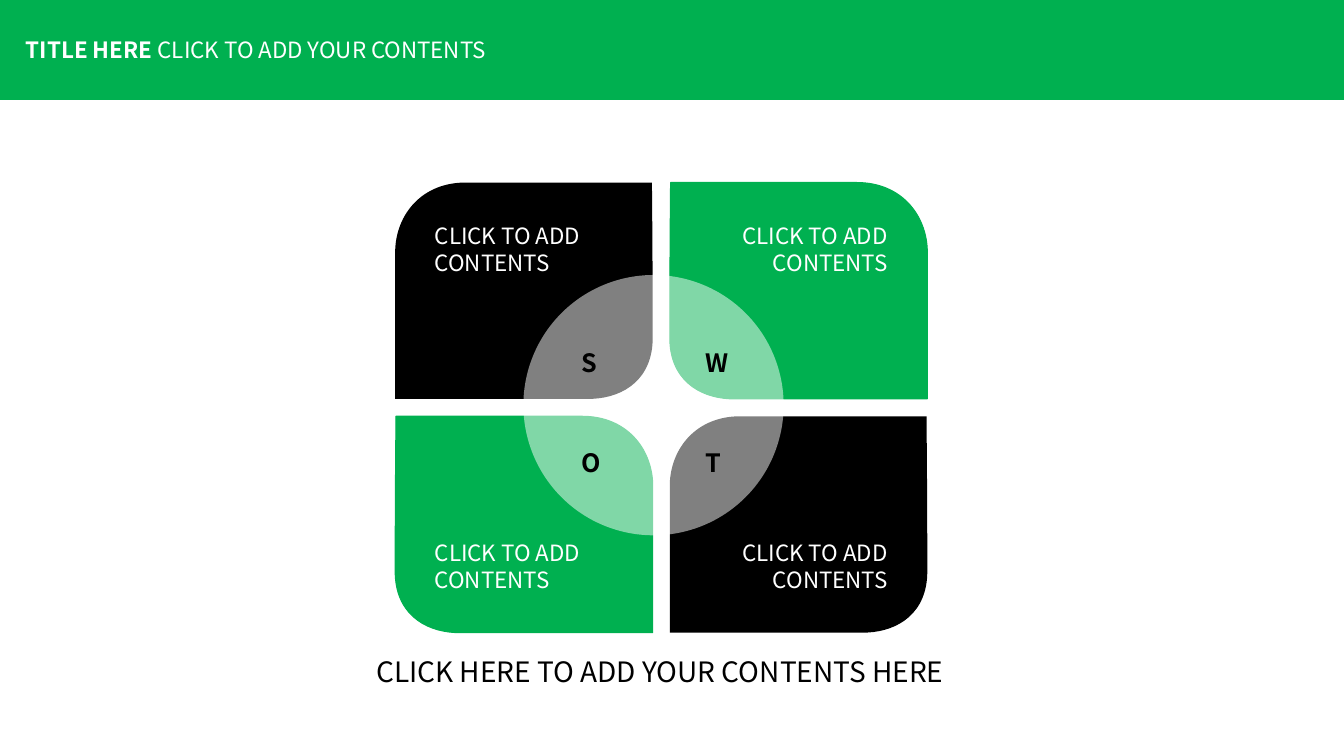
from dataclasses import dataclass
from typing import Any

from lxml import etree
from pptx import Presentation
from pptx.dml import color
from pptx.enum import shapes, text
from pptx.oxml import ns
from pptx.util import Cm, Pt

COLORS = {"green": "00B050", "black": "000000", "white": "FFFFFF"}
FONT = "Noto Sans CJK SC"
PETAL_WIDTH = 6.49
PETAL_START = (4.98, 5.45)
PETAL_CURVES = [
    [(2.49, 5.45), (0, 5.45), (0, 5.45)],
    [(0, 5.45), (0, 3.58), (0, 1.7)],
    [(0.03, 0.81), (0.66, 0), (1.78, 0)],
    [(4.14, 0), (6.47, 0), (6.47, 0)],
    [(6.47, 0), (6.49, 1.96), (6.49, 3.91)],
    [(6.49, 4.95), (5.77, 5.41), PETAL_START],
]


@dataclass
class Span:
    words: str
    size: int
    color: str
    bold: bool = False


@dataclass
class Quadrant:
    letter: str
    letter_width: float
    column: int
    row: int

    @property
    def mirrored(self) -> bool:
        return self.column != self.row


QUADRANTS = [
    Quadrant("S", 0.89, 0, 0),
    Quadrant("W", 1.19, 1, 0),
    Quadrant("O", 1.04, 0, 1),
    Quadrant("T", 0.91, 1, 1),
]


def rgb(name: str) -> color.RGBColor:
    return color.RGBColor.from_string(COLORS[name])


def apply(target: Any, values: dict[str, Any]) -> None:
    for name, value in values.items():
        setattr(target, name, value)


def write(shape: Any, lines: list[list[Span]], align: Any, frame: dict[str, Any]) -> None:
    apply(shape.text_frame, frame)
    for index, spans in enumerate(lines):
        para = shape.text_frame.paragraphs[0] if index == 0 else shape.text_frame.add_paragraph()
        para.alignment = align
        for span in spans:
            run = para.add_run()
            run.text = span.words
            apply(run.font, {"name": FONT, "size": Pt(span.size), "bold": span.bold})
            run.font.color.rgb = rgb(span.color)


def paint(shape: Any, fill: str, line_width: float = 0) -> None:
    shape.shadow.inherit = False
    shape.fill.solid()
    shape.fill.fore_color.rgb = rgb(fill)
    if line_width:
        shape.line.color.rgb = rgb(fill)
        shape.line.width = Pt(line_width)
    else:
        shape.line.fill.background()


def bend(shape: Any) -> None:
    segments = list(shape.element.iter(ns.qn("a:lnTo")))
    for first in range(0, len(segments), 3):
        curve = etree.Element(ns.qn("a:cubicBezTo"))
        segments[first].addprevious(curve)
        for segment in segments[first:first + 3]:
            curve.append(segment[0])
            segment.getparent().remove(segment)


def draw_petal(page: Any, quadrant: Quadrant) -> None:
    left = 9.96 + 6.92 * quadrant.column
    top = 4.6 + 5.89 * quadrant.row
    outline = [PETAL_START] + [point for curve in PETAL_CURVES for point in curve]
    points = [
        (Cm(left + (PETAL_WIDTH - x if quadrant.mirrored else x)), Cm(top + y))
        for x, y in outline
    ]
    builder = page.shapes.build_freeform(*points[0])
    builder.add_line_segments(points[1:])
    petal = builder.convert_to_shape()
    bend(petal)
    if quadrant.mirrored:
        paint(petal, "green", 0.75)
    else:
        paint(petal, "black")
    frame = {
        "word_wrap": True,
        "vertical_anchor": text.MSO_ANCHOR.BOTTOM if quadrant.row else text.MSO_ANCHOR.TOP,
        "margin_left": Cm(1 - quadrant.column),
        "margin_right": Cm(quadrant.column),
        "margin_top": Cm(1 - quadrant.row),
        "margin_bottom": Cm(quadrant.row),
    }
    lines = [[Span(words, 16, "white")] for words in ("CLICK TO ADD", "CONTENTS")]
    write(petal, lines, text.PP_ALIGN.RIGHT if quadrant.column else text.PP_ALIGN.LEFT, frame)


def draw_letter(page: Any, quadrant: Quadrant) -> None:
    box = page.shapes.add_textbox(
        Cm(14.4 + 3.13 * quadrant.column), Cm(8.63 + 2.52 * quadrant.row),
        Cm(quadrant.letter_width), Cm(1.02),
    )
    frame = {"word_wrap": False, "auto_size": text.MSO_AUTO_SIZE.SHAPE_TO_FIT_TEXT}
    write(box, [[Span(quadrant.letter, 18, "black", True)]], text.PP_ALIGN.LEFT, frame)


def draw_header(page: Any) -> None:
    banner = page.shapes.add_shape(shapes.MSO_SHAPE.RECTANGLE, 0, 0, Cm(33.9), Cm(2.5))
    paint(banner, "green", 1)
    title = page.shapes.title
    banner.element.addnext(title.element)
    apply(title, {"left": Cm(0.4), "top": Cm(0.79), "width": Cm(13.34), "height": Cm(0.94)})
    frame = {
        "word_wrap": True,
        "auto_size": text.MSO_AUTO_SIZE.SHAPE_TO_FIT_TEXT,
        "vertical_anchor": text.MSO_ANCHOR.TOP,
    }
    spans = [Span("TITLE HERE ", 16, "white", True), Span("CLICK TO ADD YOUR CONTENTS", 16, "white")]
    write(title, [spans], text.PP_ALIGN.LEFT, frame)


def draw_caption(page: Any) -> None:
    box = page.shapes.add_textbox(Cm(6.92), Cm(16.36), Cm(19.43), Cm(1.12))
    frame = {"word_wrap": True, "auto_size": text.MSO_AUTO_SIZE.SHAPE_TO_FIT_TEXT}
    caption = Span("CLICK HERE TO ADD YOUR CONTENTS HERE", 20, "black")
    write(box, [[caption]], text.PP_ALIGN.CENTER, frame)


def draw_hub(page: Any) -> None:
    hub = page.shapes.add_shape(shapes.MSO_SHAPE.OVAL, Cm(13.19), Cm(6.93), Cm(6.56), Cm(6.56))
    paint(hub, "white")
    tint = hub.element.spPr.find(ns.qn("a:solidFill"))[0]
    etree.SubElement(tint, ns.qn("a:alpha"), val="50000")


def main() -> None:
    deck = Presentation()
    apply(deck, {"slide_width": Cm(33.87), "slide_height": Cm(19.05)})
    page = deck.slides.add_slide(deck.slide_layouts[5])
    draw_header(page)
    for quadrant in QUADRANTS:
        draw_petal(page, quadrant)
    draw_caption(page)
    draw_hub(page)
    for quadrant in QUADRANTS:
        draw_letter(page, quadrant)
    deck.save("out.pptx")


if __name__ == "__main__":
    main()
